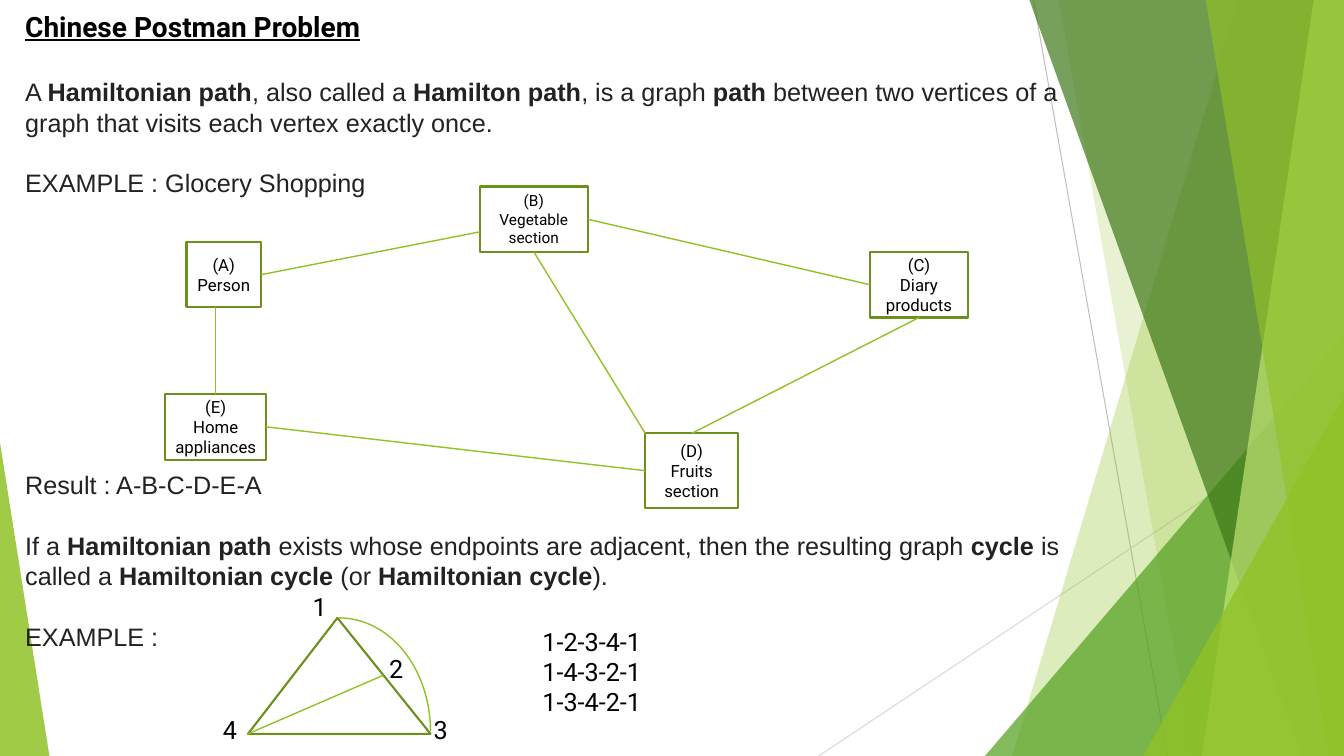
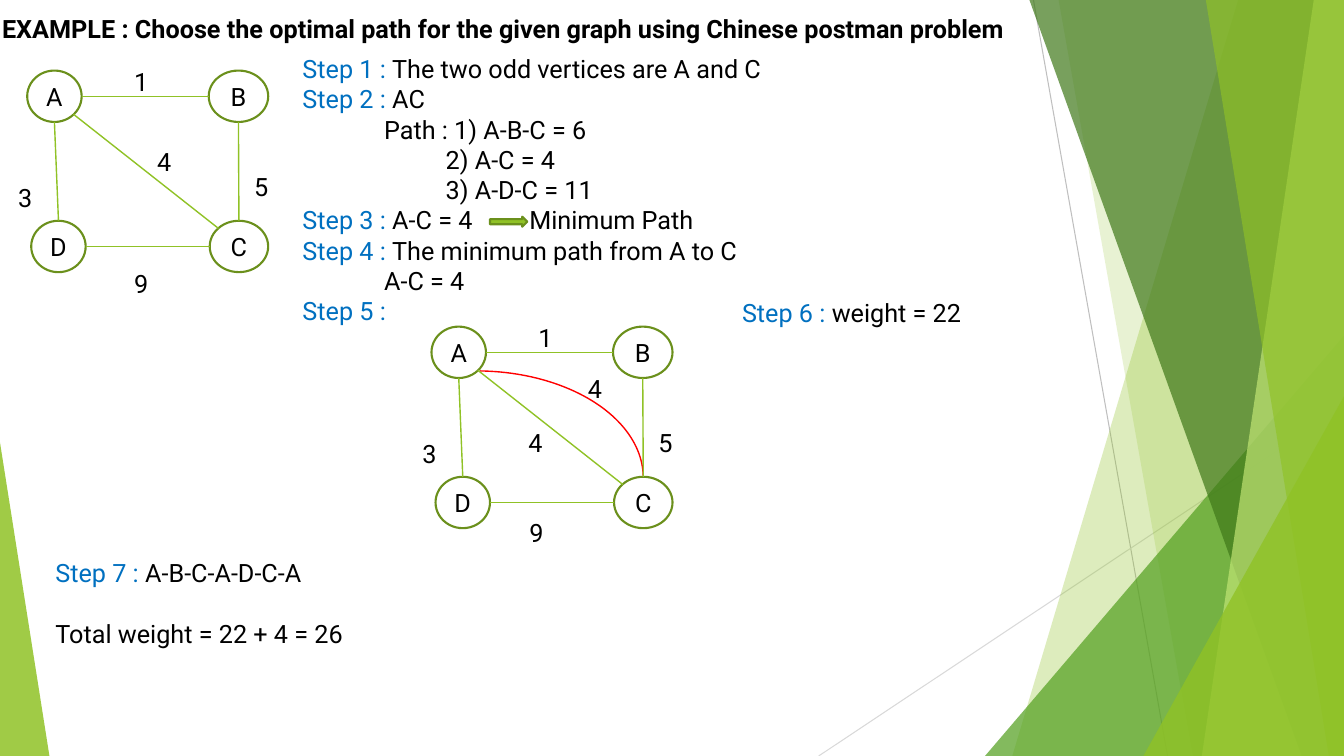
from dataclasses import dataclass

from lxml import etree
from pptx import Presentation
from pptx import util as u
from pptx.dml.color import RGBColor
from pptx.enum import shapes as kinds, text as styles
from pptx.oxml.ns import qn

PX = 9144  # EMU in one px, 100 px to the inch
WIDTH, HEIGHT = 1333, 750
LINE_HEIGHT = 1.2
COLORS = {
    "text": "000000", "body": "222222", "step": "0070C0", "paper": "FFFFFF",
    "lime": "90C226", "outline": "6B901C", "extra": "FF0000",
    "leaf": "54A021", "forest": "3F7819", "pale": "C0E474",
    "gray": "BFBFBF", "silver": "D9D9D9",
}
SIDES = {"top": 0, "left": 1, "bottom": 2, "right": 3}
ANCHORS = {
    "top": (0.5, 0), "left": (0, 0.5), "bottom": (0.5, 1), "right": (1, 0.5),
    "lower right": (0.85, 0.85), "upper left": (0.15, 0.15),
}


@dataclass
class Paragraph:
    """Runs are strings or (string, format) pairs; gap counts lines before."""
    runs: list
    indent: int = 0
    gap: int = 0


def bold(text):
    return text, {"bold": True}


def step(text):
    return text, {"color": "step"}


def rgb(name):
    return RGBColor.from_string(COLORS[name])


def emu(*lengths):
    return [round(length * PX) for length in lengths]


def write(frame, paragraphs, size=18, font="Roboto", color="text", bold=False,
          underline=False, align="LEFT", anchor="TOP", inset=0, wrap=True):
    """Fill a text frame with strings or Paragraphs in one format."""
    frame.word_wrap = wrap
    frame.auto_size = styles.MSO_AUTO_SIZE.NONE
    frame.vertical_anchor = styles.MSO_ANCHOR[anchor]
    frame.margin_left = frame.margin_right = inset * PX
    frame.margin_top = frame.margin_bottom = 0
    for index, item in enumerate(paragraphs):
        if isinstance(item, str):
            item = Paragraph([item])
        paragraph = frame.add_paragraph() if index else frame.paragraphs[0]
        paragraph.alignment = styles.PP_ALIGN[align]
        paragraph.line_spacing = u.Pt(size * LINE_HEIGHT)
        paragraph.space_before = u.Pt(item.gap * size * LINE_HEIGHT)
        properties = paragraph._p.get_or_add_pPr()
        properties.set("marL", str(item.indent * PX))
        properties.set("indent", "0")
        etree.SubElement(properties, qn("a:buNone"))
        for piece in item.runs:
            words, changes = (piece, {}) if isinstance(piece, str) else piece
            run = paragraph.add_run()
            run.text = words
            run.font.name, run.font.size = font, u.Pt(size)
            run.font.bold = changes.get("bold", bold)
            run.font.underline = underline
            run.font.color.rgb = rgb(changes.get("color", color))


def add_text(slide, box, paragraphs, **formatting):
    write(slide.shapes.add_textbox(*emu(*box)).text_frame, paragraphs, **formatting)


def add_labels(slide, left, top, labels):
    """Centre each short label on its point, counted from left and top."""
    for label, x, y in labels:
        add_text(slide, (left + x - 15, top + y - 15, 30, 30), [label],
                 align="CENTER", anchor="MIDDLE")


def fill_placeholder(placeholder, box, paragraphs, **formatting):
    placeholder.left, placeholder.top, placeholder.width, placeholder.height = emu(*box)
    write(placeholder.text_frame, paragraphs, **formatting)


def paint(shape, fill=None, line=None, width=1.5, opacity=100):
    shape.shadow.inherit = False
    if fill:
        shape.fill.solid()
        shape.fill.fore_color.rgb = rgb(fill)
    else:
        shape.fill.background()
    if line:
        shape.line.color.rgb = rgb(line)
        shape.line.width = u.Pt(width)
    else:
        shape.line.fill.background()
    if opacity < 100:
        color = shape.element.find(".//" + qn("a:srgbClr"))
        etree.SubElement(color, qn("a:alpha")).set("val", str(opacity * 1000))


def add_shape(shapes, kind, box, adjustments=(), **look):
    shape = shapes.add_shape(kinds.MSO_SHAPE[kind], *emu(*box))
    for index, value in enumerate(adjustments):
        shape.adjustments[index] = value
    paint(shape, **look)
    return shape


def add_line(shapes, start, end, color="lime", width=1):
    line = shapes.add_connector(kinds.MSO_CONNECTOR.STRAIGHT, *emu(*start, *end))
    line.line.color.rgb = rgb(color)
    line.line.width = u.Pt(width)
    etree.SubElement(line.element.find(qn("p:spPr")), qn("a:effectLst"))
    return line


def add_backdrop(slide, layout):
    """Draw the green bands and move them into the layout that slides share."""
    for placeholder in list(layout.placeholders):
        if placeholder.placeholder_format.idx >= 10:
            placeholder.element.getparent().remove(placeholder.element)
    group = slide.shapes.add_group_shape()
    shapes = group.shapes

    def band(top_left, bottom_left, fill, opacity):
        builder = shapes.build_freeform(top_left, 0, scale=PX)
        builder.add_line_segments(
            [(WIDTH, 0), (WIDTH, HEIGHT), (bottom_left, HEIGHT)], close=True)
        paint(builder.convert_to_shape(), fill, opacity=opacity)

    def corner(left, top, width, apex, fill, opacity):
        add_shape(shapes, "ISOSCELES_TRIANGLE", (left, top, width, HEIGHT - top),
                  [apex], fill=fill, opacity=opacity)

    add_line(shapes, (1025, 0), (1158, HEIGHT), "gray", 0.75)
    add_line(shapes, (WIDTH, 403), (812, HEIGHT), "silver", 0.75)
    band(1228, 1004, "lime", 30)
    band(1050, 1183, "lime", 20)
    corner(977, 333, 356, 1, "leaf", 72)
    band(1021, 1291, "forest", 70)
    band(1303, 1192, "pale", 70)
    band(1196, 1318, "lime", 65)
    corner(1134, 393, 199, 1, "lime", 80)
    corner(0, 439, 49, 0, "lime", 85)
    layout.shapes.element.insert(2, group.element)


def add_shopping_graph(slide, left, top):
    places = {
        "A": ("Person", 21, 55, 74, 65, 12),
        "B": ("Vegetable section", 312, 0, 107, 65, 11),
        "C": ("Diary products", 699, 65, 97, 65, 12),
        "D": ("Fruits section", 476, 245, 92, 74, 12),
        "E": ("Home appliances", 0, 206, 100, 65, 12),
    }
    # An end is a place with a side, or a free point.
    routes = [
        (("A", "right"), (312, 45)),
        (("B", "right"), ("C", "left")),
        (("C", "bottom"), ("D", "top")),
        ((50, 120), ("E", "top")),
        (("E", "right"), ("D", "left")),
        (("B", "bottom"), (476, 245)),
    ]
    boxes = {}
    for letter, (name, x, y, width, height, size) in places.items():
        boxes[letter] = add_shape(slide.shapes, "RECTANGLE",
                                  (left + x, top + y, width, height),
                                  fill="paper", line="outline")
        write(boxes[letter].text_frame, [f"({letter})", name], size=size,
              align="CENTER", anchor="MIDDLE", inset=5)
    for route in routes:
        points = [(0, 0) if end[0] in boxes else (left + end[0], top + end[1])
                  for end in route]
        line = add_line(slide.shapes, *points)
        for end, connect in zip(route, (line.begin_connect, line.end_connect)):
            if end[0] in boxes:
                connect(boxes[end[0]], SIDES[end[1]])


def add_cycle_figure(slide, left, top):
    width, height = 181, 115
    add_shape(slide.shapes, "ISOSCELES_TRIANGLE", (left, top, width, height), [0.49],
              fill="paper", line="outline")
    add_line(slide.shapes, (left, top + height), (left + 134, top + 57))
    add_shape(slide.shapes, "ARC", (left, top, width, 225), line="lime", width=1)
    add_labels(slide, left, top,
               [("1", 71, -11), ("2", 147, 50), ("3", 191, 111), ("4", -18, 111)])


def add_weighted_graph(slide, left, top, labels):
    vertices = {"A": (0, 0, 54, 51), "B": (180, 0, 59, 51),
                "D": (4, 149, 54, 51), "C": (181, 149, 58, 51)}
    edges = [("A", "right", "B", "left"), ("A", "bottom", "D", "top"),
             ("D", "right", "C", "left"), ("C", "top", "B", "bottom"),
             ("A", "lower right", "C", "upper left")]

    def point(letter, anchor):
        x, y, width, height = vertices[letter]
        across, down = ANCHORS[anchor]
        return left + x + width * across, top + y + height * down

    for letter, (x, y, width, height) in vertices.items():
        vertex = add_shape(slide.shapes, "OVAL", (left + x, top + y, width, height),
                           fill="paper", line="outline")
        write(vertex.text_frame, [letter], align="CENTER", anchor="MIDDLE", wrap=False)
    for start, start_anchor, end, end_anchor in edges:
        add_line(slide.shapes, point(start, start_anchor), point(end, end_anchor))
    shared = [("1", 113, 11), ("3", -2, 126), ("5", 232, 115)]
    add_labels(slide, left, top, shared + labels)


def build_hamiltonian_slide(slide):
    title, body = slide.placeholders
    fill_placeholder(title, (25, 9, 534, 34), ["Chinese Postman Problem"],
                     size=20, bold=True, underline=True)
    fill_placeholder(body, (25, 76, 1034, 576), [
        Paragraph(["A ", bold("Hamiltonian path"), ", also called a ",
                   bold("Hamilton path"), ", is a graph ", bold("path"),
                   " between two vertices of a graph that visits each vertex "
                   "exactly once."]),
        Paragraph(["EXAMPLE : Glocery Shopping"], gap=1),
        Paragraph(["Result : A-B-C-D-E-A"], gap=9),
        Paragraph(["If a ", bold("Hamiltonian path"),
                   " exists whose endpoints are adjacent, then the resulting graph ",
                   bold("cycle"), " is called a ", bold("Hamiltonian cycle"),
                   " (or ", bold("Hamiltonian cycle"), ")."], gap=1),
        Paragraph(["EXAMPLE :"], gap=1),
    ], font="Arial", color="body")
    add_shopping_graph(slide, 164, 185)
    add_cycle_figure(slide, 246, 613)
    add_text(slide, (538, 621, 192, 91), ["1-2-3-4-1", "1-4-3-2-1", "1-3-4-2-1"])


def build_example_slide(slide):
    title, body = slide.placeholders
    fill_placeholder(title, (2, 13, 1030, 30), [
        "EXAMPLE : Choose the optimal path for the given graph using "
        "Chinese postman problem"], bold=True, wrap=False)
    fill_placeholder(body, (300, 53, 600, 273), [
        Paragraph([step("Step 1 : "), "The two odd vertices are A and C"]),
        Paragraph([step("Step 2 : "), "AC"]),
        Paragraph(["Path : 1) A-B-C = 6"], indent=81),
        Paragraph(["2) A-C = 4"], indent=142),
        Paragraph(["3) A-D-C = 11"], indent=142),
        Paragraph([step("Step 3 : "), "A-C = 4"]),
        Paragraph([step("Step 4 : "), "The minimum path from A to C"]),
        Paragraph(["A-C = 4"], indent=81),
        Paragraph([step("Step 5 :")]),
    ])
    add_shape(slide.shapes, "RIGHT_ARROW", (486, 215, 37, 10),
              fill="lime", line="outline")
    add_text(slide, (525, 203, 180, 30), ["Minimum Path"])
    add_weighted_graph(slide, 27, 70, [("4", 136, 90), ("9", 113, 211)])
    add_shape(slide.shapes, "ARC", (307, 368, 331, 212), [163.12, 0],
              line="extra", width=1)
    add_weighted_graph(slide, 428, 324,
                       [("4", 103, 115), ("9", 104, 204), ("4", 162, 61)])
    add_text(slide, (736, 295, 264, 30),
             [Paragraph([step("Step 6 : "), "weight = 22"])])
    add_text(slide, (55, 553, 324, 91), [
        Paragraph([step("Step 7 : "), "A-B-C-A-D-C-A"]),
        Paragraph(["Total weight = 22 + 4 = 26"], gap=1),
    ])


def main():
    presentation = Presentation()
    presentation.slide_width, presentation.slide_height = emu(WIDTH, HEIGHT)
    layout = presentation.slide_layouts[1]
    builders = (build_hamiltonian_slide, build_example_slide)
    slides = [presentation.slides.add_slide(layout) for _ in builders]
    add_backdrop(slides[0], layout)
    for build, slide in zip(builders, slides):
        build(slide)
    presentation.save("out.pptx")


if __name__ == "__main__":
    main()
